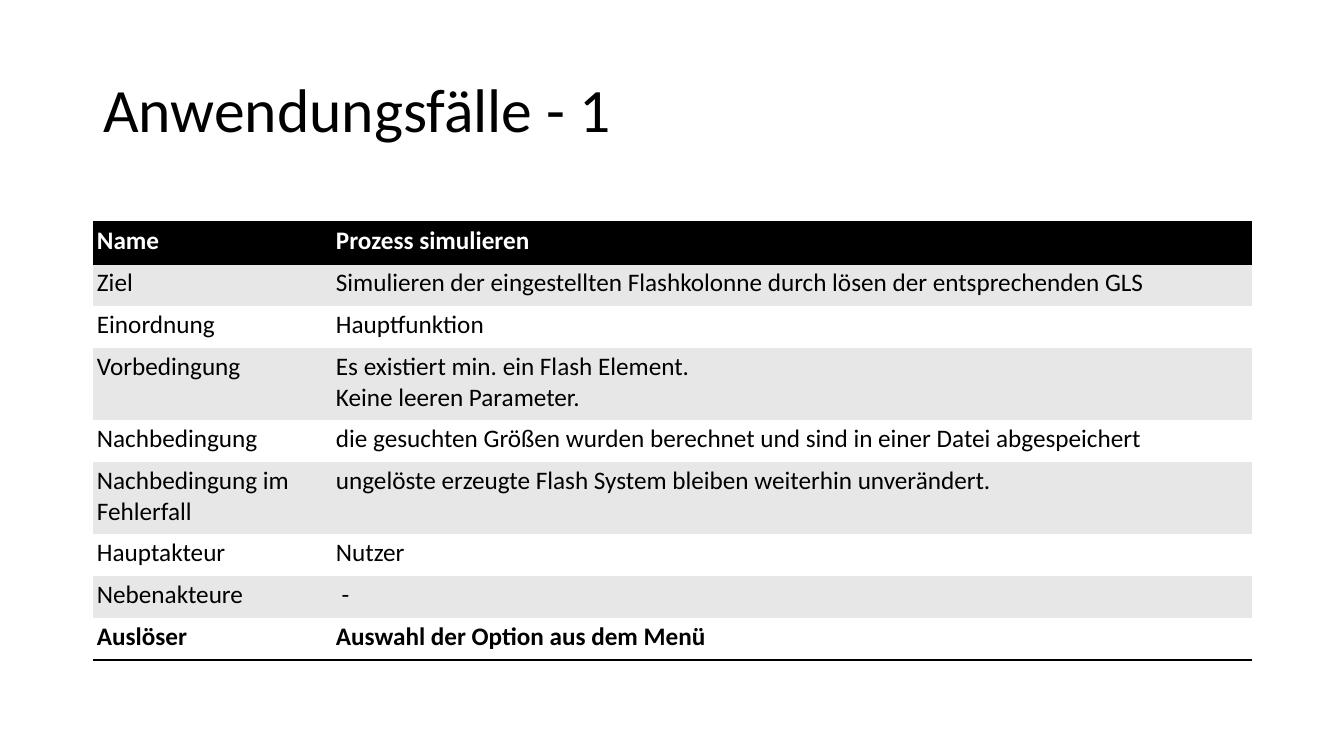
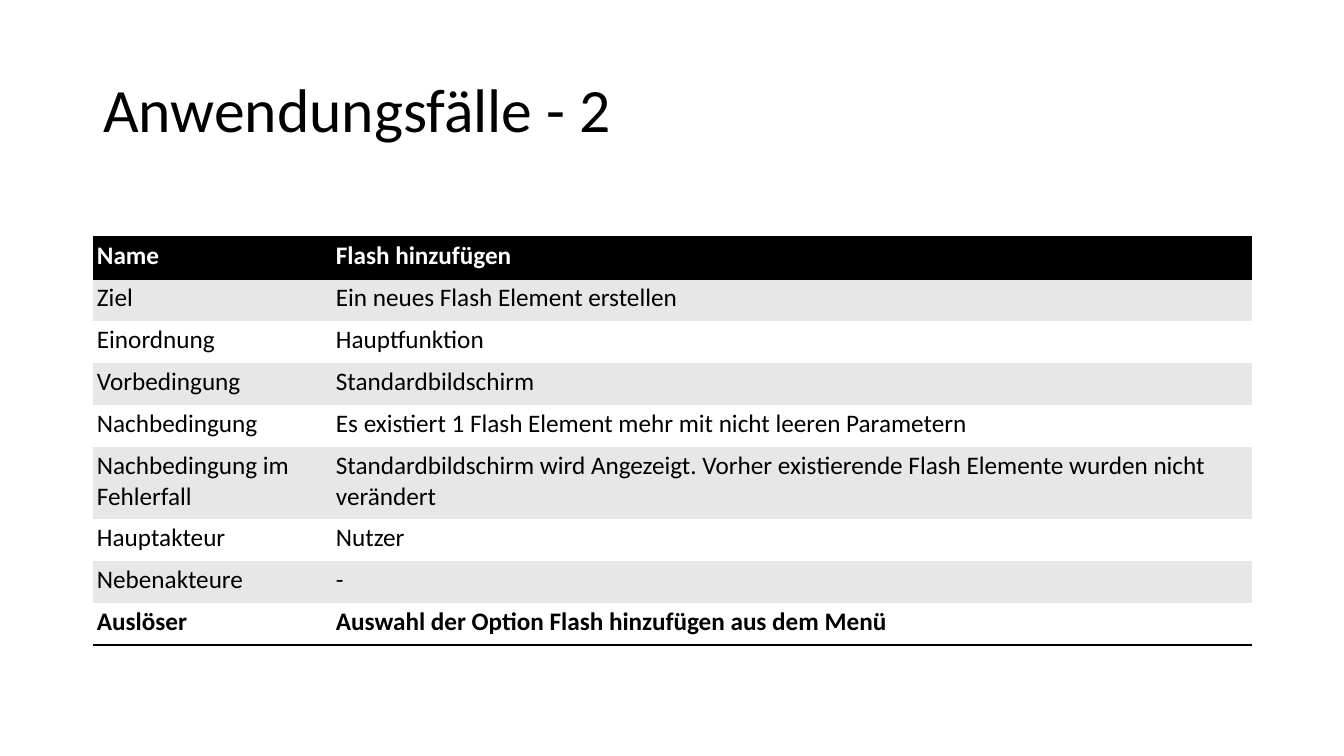
from dataclasses import dataclass

from lxml import etree
from pptx import Presentation
from pptx.dml.color import RGBColor
from pptx.enum.text import MSO_ANCHOR, MSO_AUTO_SIZE, PP_ALIGN
from pptx.oxml.ns import qn
from pptx.util import Emu, Pt

LEFT = PP_ALIGN.LEFT
MIDDLE = MSO_ANCHOR.MIDDLE
TOP = MSO_ANCHOR.TOP
NO_AUTOFIT = MSO_AUTO_SIZE.NONE

EMU_PER_PIXEL = 914400 / 100.8
SLIDE_WIDTH, SLIDE_HEIGHT = 1344, 756
TITLE_ONLY_LAYOUT = 5
PLAIN_TABLE_STYLE = "{2D5ABB26-0587-4C30-8999-92F81FD0307C}"

MARGIN = 93
TITLE_TOP, TITLE_HEIGHT = 40, 146
COLUMN_WIDTHS = (239, 920)
CELL_INSET = 4
ROW_HEIGHT, TALL_ROW_HEIGHT = 42, 72


@dataclass(frozen=True)
class Theme:
    font: str = "Calibri"
    ink: str = "000000"
    paper: str = "FFFFFF"
    band: str = "E7E7E7"
    title_size: int = 44
    table_size: int = 18
    rule_width: int = 2


THEME = Theme()

LABELS = (
    "Name",
    "Ziel",
    "Einordnung",
    "Vorbedingung",
    "Nachbedingung",
    "Nachbedingung im Fehlerfall",
    "Hauptakteur",
    "Nebenakteure",
    "Auslöser",
)

USE_CASES = (
    {
        "title": "Anwendungsfälle - 1",
        "table_top": 222,
        "tall_rows": (3, 5),
        "values": (
            "Prozess simulieren",
            "Simulieren der eingestellten Flashkolonne durch lösen der entsprechenden GLS",
            "Hauptfunktion",
            "Es existiert min. ein Flash Element.\nKeine leeren Parameter.",
            "die gesuchten Größen wurden berechnet und sind in einer Datei abgespeichert",
            "ungelöste erzeugte Flash System bleiben weiterhin unverändert.",
            "Nutzer",
            " -",
            "Auswahl der Option aus dem Menü",
        ),
    },
    {
        "title": "Anwendungsfälle - 2",
        "table_top": 237,
        "tall_rows": (5,),
        "values": (
            "Flash hinzufügen",
            "Ein neues Flash Element erstellen",
            "Hauptfunktion",
            "Standardbildschirm",
            "Es existiert 1 Flash Element mehr mit nicht leeren Parametern",
            "Standardbildschirm wird Angezeigt. Vorher existierende Flash Elemente "
            "wurden nicht verändert",
            "Nutzer",
            "-",
            "Auswahl der Option Flash hinzufügen aus dem Menü",
        ),
    },
)


def pixels(length):
    return Emu(round(length * EMU_PER_PIXEL))


def write_text(text_frame, text, *, size, color=THEME.ink, bold=False, line_spacing=None):
    text_frame.text = text
    for paragraph in text_frame.paragraphs:
        paragraph.alignment = LEFT
        paragraph.line_spacing = line_spacing
        for run in paragraph.runs:
            run.font.name = THEME.font
            run.font.size = Pt(size)
            run.font.bold = bold
            run.font.color.rgb = RGBColor.from_string(color)


def add_title(slide, text):
    title = slide.shapes.title
    title.left, title.top = pixels(MARGIN), pixels(TITLE_TOP)
    title.width, title.height = pixels(sum(COLUMN_WIDTHS)), pixels(TITLE_HEIGHT)
    title.text_frame.auto_size = NO_AUTOFIT
    title.text_frame.vertical_anchor = MIDDLE
    write_text(title.text_frame, text, size=THEME.title_size, line_spacing=0.9)


def add_border(cell, side):
    properties = cell._tc.get_or_add_tcPr()
    line = etree.SubElement(properties, qn(f"a:{side}"), w=str(Pt(THEME.rule_width)))
    fill = etree.SubElement(line, qn("a:solidFill"))
    etree.SubElement(fill, qn("a:srgbClr"), val=THEME.ink)


def format_cell(cell, text, *, fill, color=THEME.ink, bold=False, borders=()):
    cell.margin_left = cell.margin_right = pixels(CELL_INSET)
    cell.margin_top = cell.margin_bottom = pixels(CELL_INSET)
    cell.vertical_anchor = TOP
    for side in borders:
        add_border(cell, side)
    cell.fill.solid()
    cell.fill.fore_color.rgb = RGBColor.from_string(fill)
    write_text(cell.text_frame, text, size=THEME.table_size, color=color, bold=bold)


def row_format(index, last):
    if index == 0:
        return {"fill": THEME.ink, "color": THEME.paper, "bold": True, "borders": ("lnT", "lnB")}
    if index == last:
        return {"fill": THEME.paper, "bold": True, "borders": ("lnB",)}
    return {"fill": THEME.band if index % 2 else THEME.paper}


def add_use_case_table(slide, top, values, tall_rows):
    heights = [
        TALL_ROW_HEIGHT if index in tall_rows else ROW_HEIGHT for index in range(len(LABELS))
    ]
    frame = slide.shapes.add_table(
        len(LABELS), len(COLUMN_WIDTHS), pixels(MARGIN), pixels(top),
        pixels(sum(COLUMN_WIDTHS)), pixels(sum(heights)),
    )
    frame.element.xpath(".//a:tableStyleId")[0].text = PLAIN_TABLE_STYLE
    table = frame.table
    for column, width in zip(table.columns, COLUMN_WIDTHS):
        column.width = pixels(width)
    for index, (row, height) in enumerate(zip(table.rows, heights)):
        row.height = pixels(height)
        style = row_format(index, len(LABELS) - 1)
        for cell, text in zip(row.cells, (LABELS[index], values[index])):
            format_cell(cell, text, **style)


def main():
    presentation = Presentation()
    presentation.slide_width = pixels(SLIDE_WIDTH)
    presentation.slide_height = pixels(SLIDE_HEIGHT)
    for use_case in USE_CASES:
        slide = presentation.slides.add_slide(presentation.slide_layouts[TITLE_ONLY_LAYOUT])
        add_title(slide, use_case["title"])
        add_use_case_table(
            slide, use_case["table_top"], use_case["values"], use_case["tall_rows"]
        )
    presentation.save("out.pptx")


main()
